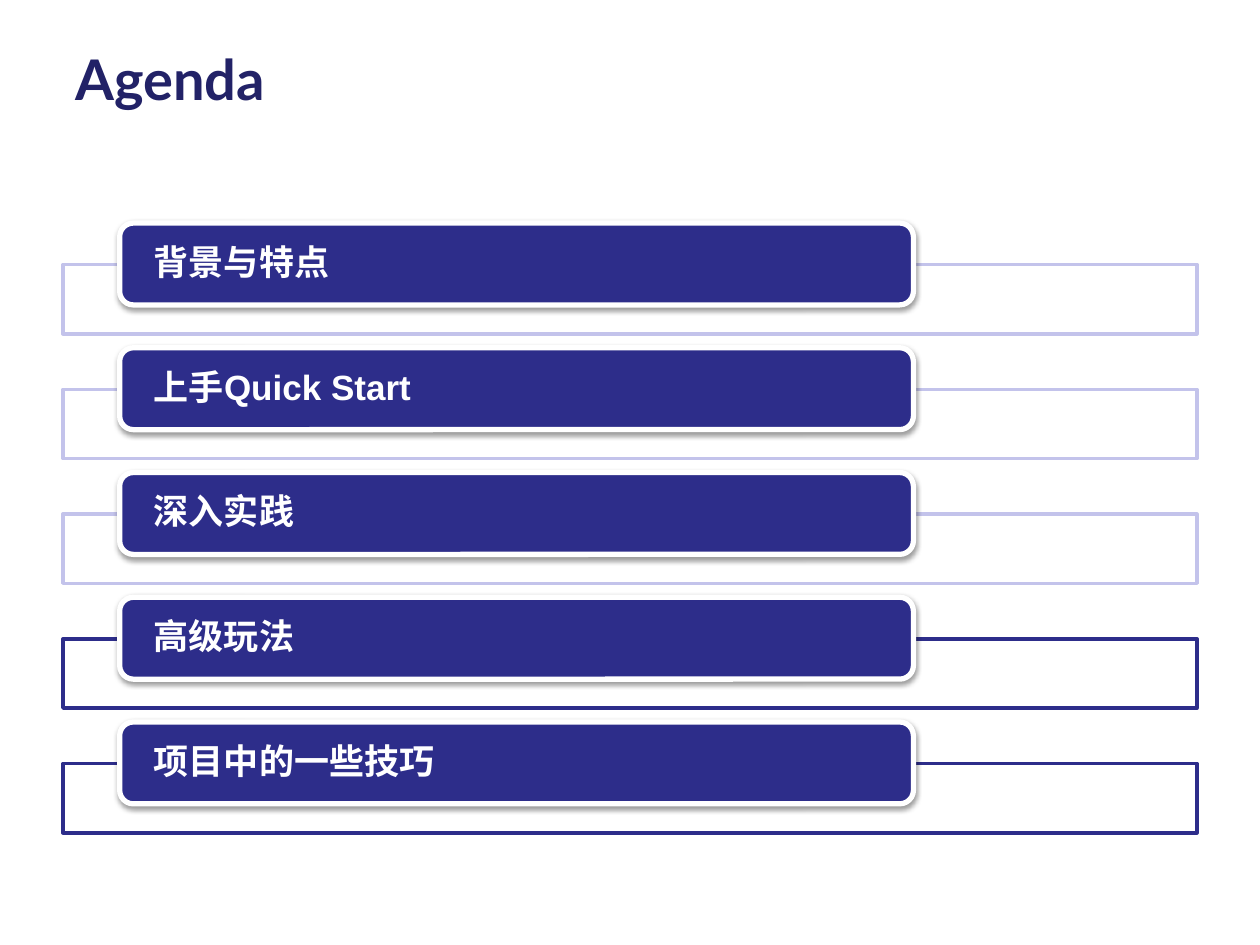
"""Build an agenda slide with five labelled bars over outlined frames."""
from lxml.etree import SubElement
from pptx import Presentation
from pptx.dml.color import RGBColor
from pptx.enum.shapes import MSO_SHAPE
from pptx.enum.text import MSO_ANCHOR, PP_ALIGN
from pptx.oxml.ns import qn
from pptx.util import Inches, Pt

TITLE = "Agenda"
ITEMS = [
    ("背景与特点", "pale"),
    ("上手Quick Start", "pale"),
    ("深入实践", "pale"),
    ("高级玩法", "navy"),
    ("项目中的一些技巧", "navy"),
]
COLORS = {"title": "222267", "navy": "2D2D8A", "pale": "C3C3EB",
          "white": "FFFFFF", "shadow": "000000"}
FRAME_TOP, BAR_RISE, PITCH = 2.1, 0.33, 0.99


def rgb(name):
    return RGBColor.from_string(COLORS[name])


def add_box(s, kind, box, fill, line, width):
    sp = s.shapes.add_shape(kind, *map(Inches, box))
    sp.fill.solid()
    sp.fill.fore_color.rgb = rgb(fill)
    sp.line.color.rgb = rgb(line)
    sp.line.width = Pt(width)
    sp.shadow.inherit = False
    return sp


def add_alpha(color, percent):
    SubElement(color, qn("a:alpha"), val=str(percent * 1000))


def add_shadow(sp):
    effects = sp._element.spPr.find(qn("a:effectLst"))
    shadow = SubElement(effects, qn("a:outerShdw"), blurRad=str(Pt(3.1)),
                        dist=str(Pt(1.6)), dir="5400000", rotWithShape="0")
    add_alpha(SubElement(shadow, qn("a:srgbClr"), val=COLORS["shadow"]), 38)


def add_text(p, text, font, size, color):
    p.alignment = PP_ALIGN.LEFT
    r = p.add_run()
    r.text = text
    r.font.name = font
    r.font.size = Pt(size)
    r.font.bold = True
    r.font.color.rgb = rgb(color)


def add_item(s, top, text, outline):
    frame = add_box(s, MSO_SHAPE.RECTANGLE, (0.5, top, 9, 0.55), "white", outline, 2)
    add_alpha(frame._element.spPr.find(qn("a:solidFill"))[0], 90)

    bar = add_box(s, MSO_SHAPE.ROUNDED_RECTANGLE,
                  (0.95, top - BAR_RISE, 6.3, 0.65), "navy", "white", 3)
    add_shadow(bar)
    tf = bar.text_frame
    tf.word_wrap = True
    tf.vertical_anchor = MSO_ANCHOR.MIDDLE
    tf.margin_left = tf.margin_right = Inches(0.24)
    tf.margin_top = tf.margin_bottom = 0
    p = tf.paragraphs[0]
    p.line_spacing = 0.9
    add_text(p, text, "Arial", 20, "white")


def main():
    prs = Presentation()
    prs.slide_width, prs.slide_height = Inches(10), Inches(7.5)
    s = prs.slides.add_slide(prs.slide_layouts[6])

    title = s.shapes.add_textbox(Inches(0.5), Inches(0.3), Inches(9), Inches(1.25))
    title.text_frame.word_wrap = True
    add_text(title.text_frame.paragraphs[0], TITLE, "Lato", 32, "title")

    for i, (text, outline) in enumerate(ITEMS):
        add_item(s, FRAME_TOP + i * PITCH, text, outline)
    prs.save("out.pptx")


if __name__ == "__main__":
    main()
